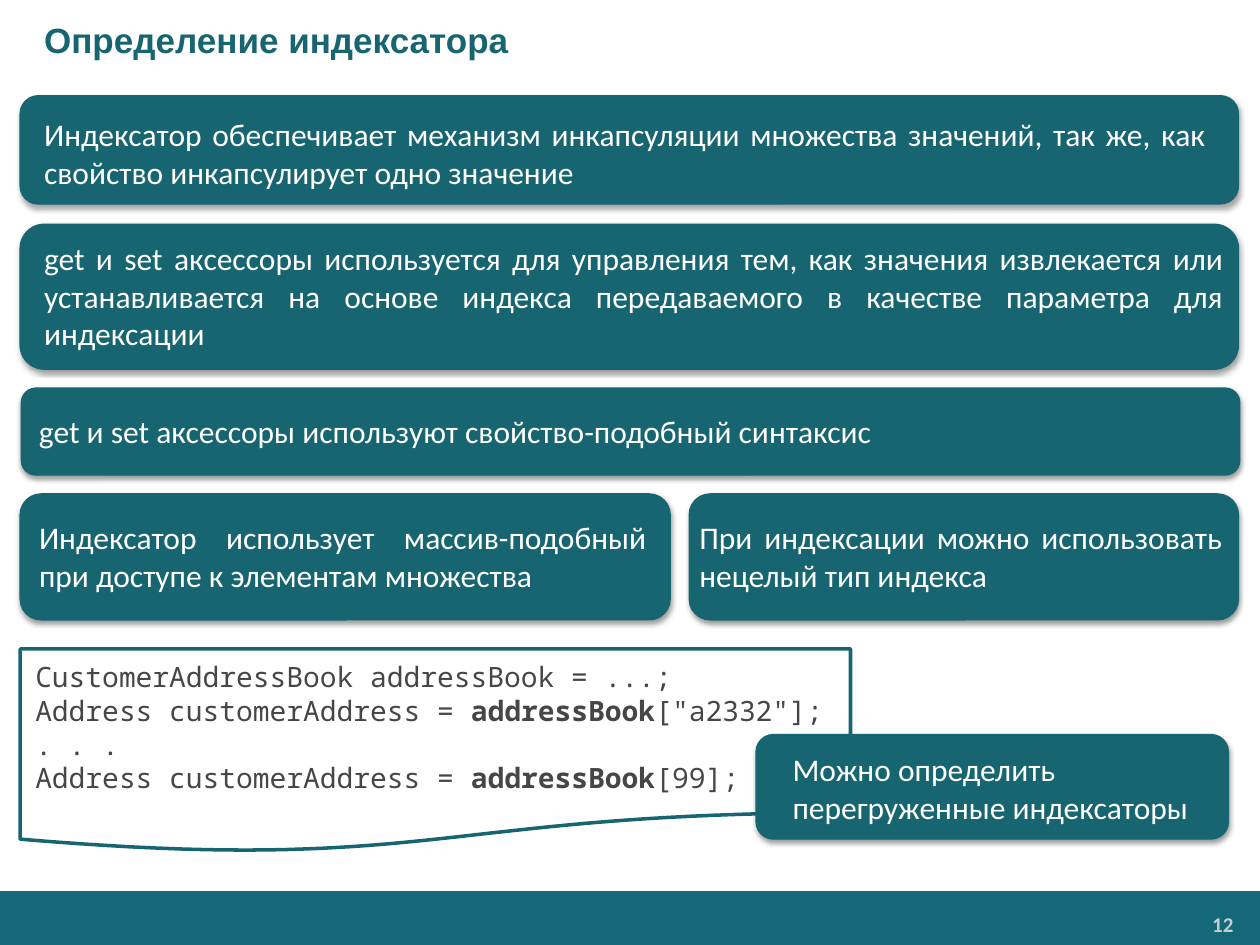
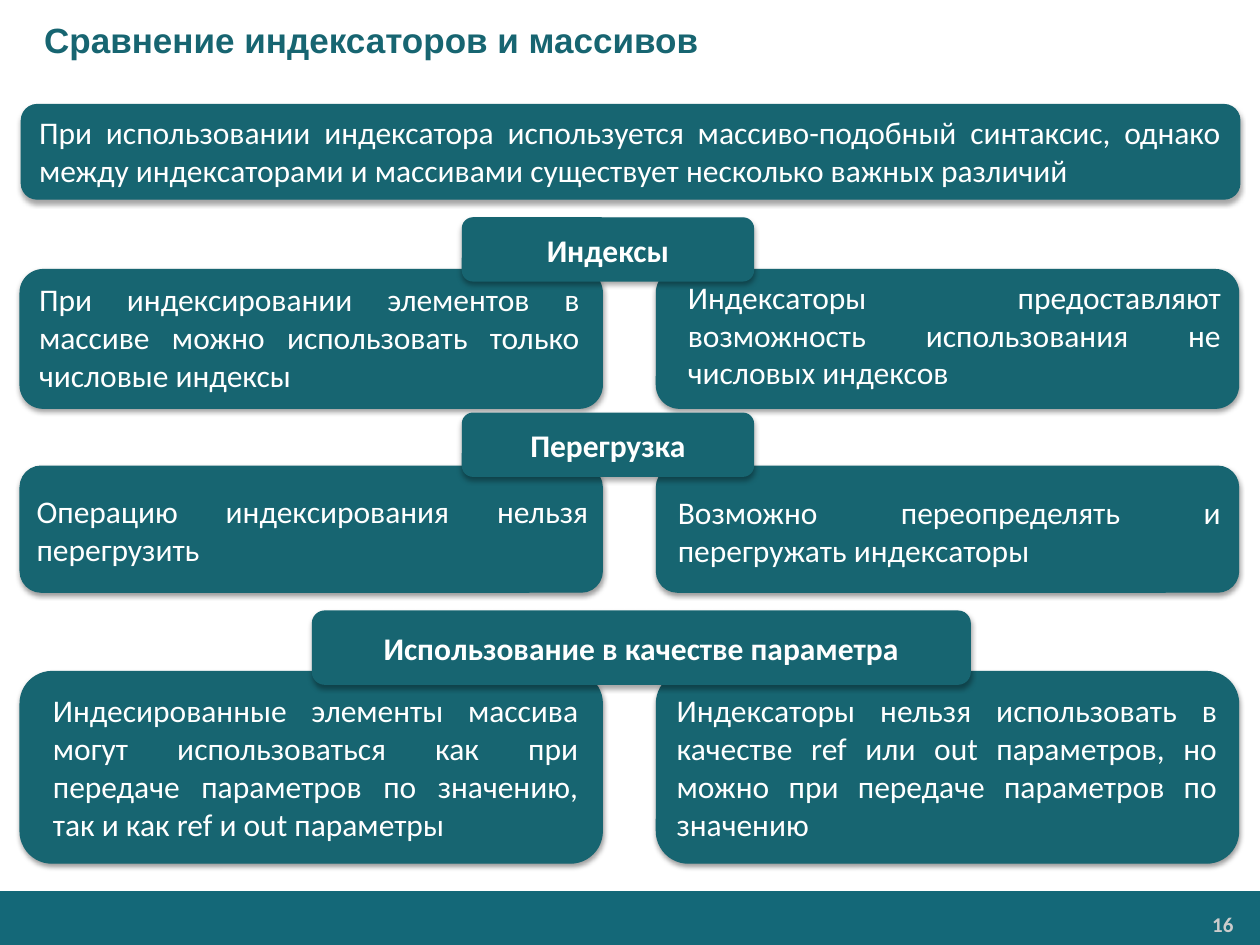
from lxml import etree
from pptx import Presentation
from pptx.dml.color import RGBColor
from pptx.enum.shapes import MSO_SHAPE
from pptx.enum.text import MSO_ANCHOR, MSO_AUTO_SIZE, PP_ALIGN
from pptx.oxml.ns import qn
from pptx.util import Inches, Pt

RECTANGLE, ROUNDED = MSO_SHAPE.RECTANGLE, MSO_SHAPE.ROUNDED_RECTANGLE
LEFT, CENTER, RIGHT, JUSTIFY = (
    PP_ALIGN.LEFT, PP_ALIGN.CENTER, PP_ALIGN.RIGHT, PP_ALIGN.JUSTIFY)
TOP, MIDDLE = MSO_ANCHOR.TOP, MSO_ANCHOR.MIDDLE
NO_AUTOFIT = MSO_AUTO_SIZE.NONE

COLORS = {
    "teal": "176571",
    "band": "146878",
    "white": "FFFFFF",
    "code": "464547",
    "number": "CCCCCC",
    "shadow": "000000",
}
TITLE_FONT, BODY_FONT, CODE_FONT = "Arial", "Calibri", "Noto Sans Mono"
# Opacity in percent and distance in points
PANEL_SHADOW, HEADING_SHADOW = (38, 1.6), (35, 1.8)
TITLE_ONLY = 5

# Panel box, label box, text, shadow
DEFINITION_PANELS = [
    ((0.16, 1.78, 9.67, 1.15), (0.35, 1.89, 9.36, 0.91),
     "get и set аксессоры используется для управления тем, как значения извлекается или "
     "устанавливается на основе индекса передаваемого в качестве параметра для индексации",
     PANEL_SHADOW),
    ((0.17, 3.08, 9.67, 0.69), (0.31, 3.27, 9.3, 0.3),
     "get и set аксессоры используют свойство-подобный синтаксис", PANEL_SHADOW),
    ((0.16, 3.92, 5.16, 1), (0.31, 4.11, 4.82, 0.61),
     "Индексатор использует массив-подобный при доступе к элементам множества",
     PANEL_SHADOW),
    ((0.16, 0.76, 9.67, 0.86), (0.35, 0.91, 9.22, 0.61),
     "Индексатор обеспечивает механизм инкапсуляции множества значений, так же, как "
     "свойство инкапсулирует одно значение", HEADING_SHADOW),
    ((5.47, 3.92, 4.36, 1), (5.55, 4.11, 4.15, 0.61),
     "При индексации можно использовать нецелый тип индекса", PANEL_SHADOW),
]

# Each line is a list of (text, bold) spans
CODE_LINES = [
    [("CustomerAddressBook addressBook = ...;", False)],
    [("Address customerAddress = ", False), ("addressBook", True), ('["a2332"];', False)],
    [(". . .", False)],
    [("Address customerAddress = ", False), ("addressBook", True), ("[99];", False)],
]

COLUMN_LEFTS, COLUMN_WIDTH = (0.16, 5.21), 4.62
# Heading, heading box, top and height of the panels, then label box and text by column
COMPARISONS = [
    ("Индексы", (3.67, 1.73, 2.31, 0.5), 2.14, 1.1, [
        ((0.31, 2.22, 4.29, 0.91),
         "При индексировании элементов в массиве можно использовать только числовые индексы"),
        ((5.46, 2.2, 4.23, 0.91),
         "Индексаторы предоставляют возможность использования не числовых индексов"),
    ]),
    ("Перегрузка", (3.67, 3.28, 2.31, 0.5), 3.7, 1, [
        ((0.29, 3.9, 4.38, 0.61), "Операцию индексирования нельзя перегрузить"),
        ((5.38, 3.91, 4.31, 0.61), "Возможно переопределять и перегружать индексаторы"),
    ]),
    ("Использование в качестве параметра", (2.48, 4.85, 5.22, 0.58), 5.33, 1.52, [
        ((0.42, 5.48, 4.17, 1.21),
         "Индесированные элементы массива могут использоваться как при передаче параметров "
         "по значению, так и как ref и out параметры"),
        ((5.37, 5.48, 4.29, 1.21),
         "Индексаторы нельзя использовать в качестве ref или out параметров, но можно "
         "при передаче параметров по значению"),
    ]),
]


def rgb(name):
    return RGBColor.from_string(COLORS[name])


def inches(box):
    return [Inches(length) for length in box]


def paint(shape, fill, line, line_width):
    shape.shadow.inherit = False
    shape.fill.solid()
    shape.fill.fore_color.rgb = rgb(fill)
    shape.line.color.rgb = rgb(line)
    shape.line.width = Pt(line_width)


def add_box(shapes, kind, box, fill="teal", line_width=0.75):
    shape = shapes.add_shape(kind, *inches(box))
    paint(shape, fill, fill, line_width)
    return shape


def drop_shadow(shape, opacity, distance):
    effects = shape._element.spPr.find(qn("a:effectLst"))
    shadow = etree.SubElement(
        effects, qn("a:outerShdw"), blurRad=str(Pt(3)), dist=str(Pt(distance)),
        dir="5400000", algn="t", rotWithShape="0")
    color = etree.SubElement(shadow, qn("a:srgbClr"), val=COLORS["shadow"])
    etree.SubElement(color, qn("a:alpha"), val=str(opacity * 1000))


def write(shape, text, font=BODY_FONT, size=18, color="white", bold=False,
          align=LEFT, anchor=MIDDLE, margins=(0, 0, 0, 0)):
    """Fill a shape with text: a string, or a list of lines made of (text, bold) spans."""
    frame = shape.text_frame
    frame.auto_size = NO_AUTOFIT
    frame.word_wrap = True
    frame.vertical_anchor = anchor
    (frame.margin_left, frame.margin_top,
     frame.margin_right, frame.margin_bottom) = inches(margins)
    lines = [[(text, bold)]] if isinstance(text, str) else text
    for index, spans in enumerate(lines):
        para = frame.add_paragraph() if index else frame.paragraphs[0]
        para.alignment = align
        for words, is_bold in spans:
            span = para.add_run()
            span.text = words
            span.font.name = font
            span.font.size = Pt(size)
            span.font.bold = is_bold
            span.font.color.rgb = rgb(color)


def add_panel(slide, panel_box, label_box, text, shadow=PANEL_SHADOW,
              align=JUSTIFY, bold=False):
    """Group a rounded panel with the label that lies on it."""
    shapes = slide.shapes.add_group_shape().shapes
    drop_shadow(add_box(shapes, ROUNDED, panel_box), *shadow)
    label = add_box(shapes, RECTANGLE, label_box, line_width=1)
    write(label, text, align=align, bold=bold)


def add_heading(slide, text, box):
    left, top, width, height = box
    label_height = 0.3
    label_box = (left + 0.03, top + (height - label_height) / 2, width - 0.06, label_height)
    add_panel(slide, box, label_box, text, HEADING_SHADOW, CENTER, bold=True)


def curve_points(start, control_1, control_2, end, steps=40):
    """Points along a cubic curve, without its start."""
    for step in range(1, steps + 1):
        t = step / steps
        weights = ((1 - t) ** 3, 3 * t * (1 - t) ** 2, 3 * t ** 2 * (1 - t), t ** 3)
        yield tuple(
            sum(weight * value for weight, value in zip(weights, values))
            for values in zip(start, control_1, control_2, end))


def add_code_sheet(slide, lines):
    left, top, right = 0.16, 5.15, 6.75
    middle, corner = 3.46, (right, 6.45)
    wave = curve_points(corner, (middle, 6.45), (middle, 6.94), (left, 6.66))
    outline = [(right, top), corner, *wave]
    shapes = slide.shapes.add_group_shape().shapes
    builder = shapes.build_freeform(Inches(left), Inches(top))
    builder.add_line_segments([inches(point) for point in outline], close=True)
    paint(builder.convert_to_shape(), "white", "teal", 2)
    code = shapes.add_textbox(*inches((0.28, 5.23, 6.59, 1.08)))
    write(code, lines, font=CODE_FONT, size=16, color="code")


def add_page(deck, title, number):
    """Add a slide with the shared title, footer band and page number."""
    slide = deck.slides.add_slide(deck.slide_layouts[TITLE_ONLY])
    add_box(slide.shapes, RECTANGLE, (0, 7.08, 10, 0.42), "band")
    number_box = slide.shapes.add_textbox(*inches((8.23, 7.19, 1.63, 0.28)))
    write(number_box, str(number), size=12, color="number", bold=True, align=RIGHT,
          anchor=TOP, margins=(0.07, 0.04, 0.07, 0.04))
    heading = slide.shapes.title
    heading.left, heading.top, heading.width, heading.height = inches((0, 0, 10, 0.63))
    write(heading, title, font=TITLE_FONT, size=20, color="teal", bold=True,
          margins=(0.35, 0.05, 0.1, 0.05))
    return slide


def add_definition(deck):
    slide = add_page(deck, "Определение индексатора", 12)
    for panel in DEFINITION_PANELS:
        add_panel(slide, *panel)
    add_code_sheet(slide, CODE_LINES)
    add_panel(slide, (6, 5.83, 3.75, 0.83), (6.29, 5.95, 3.42, 0.61),
              "Можно определить перегруженные индексаторы", align=LEFT)


def add_comparison(deck):
    slide = add_page(deck, "Сравнение индексаторов и массивов", 16)
    add_panel(slide, (0.17, 0.83, 9.67, 0.75), (0.31, 0.89, 9.38, 0.61),
              "При использовании индексатора используется массиво-подобный синтаксис, однако "
              "между индексаторами и массивами существует несколько важных различий",
              HEADING_SHADOW)
    for heading, heading_box, top, height, columns in COMPARISONS:
        for left, (label_box, text) in zip(COLUMN_LEFTS, columns):
            add_panel(slide, (left, top, COLUMN_WIDTH, height), label_box, text)
        add_heading(slide, heading, heading_box)


def main():
    deck = Presentation()
    deck.slide_width, deck.slide_height = Inches(10), Inches(7.5)
    add_definition(deck)
    add_comparison(deck)
    deck.save("out.pptx")


if __name__ == "__main__":
    main()
